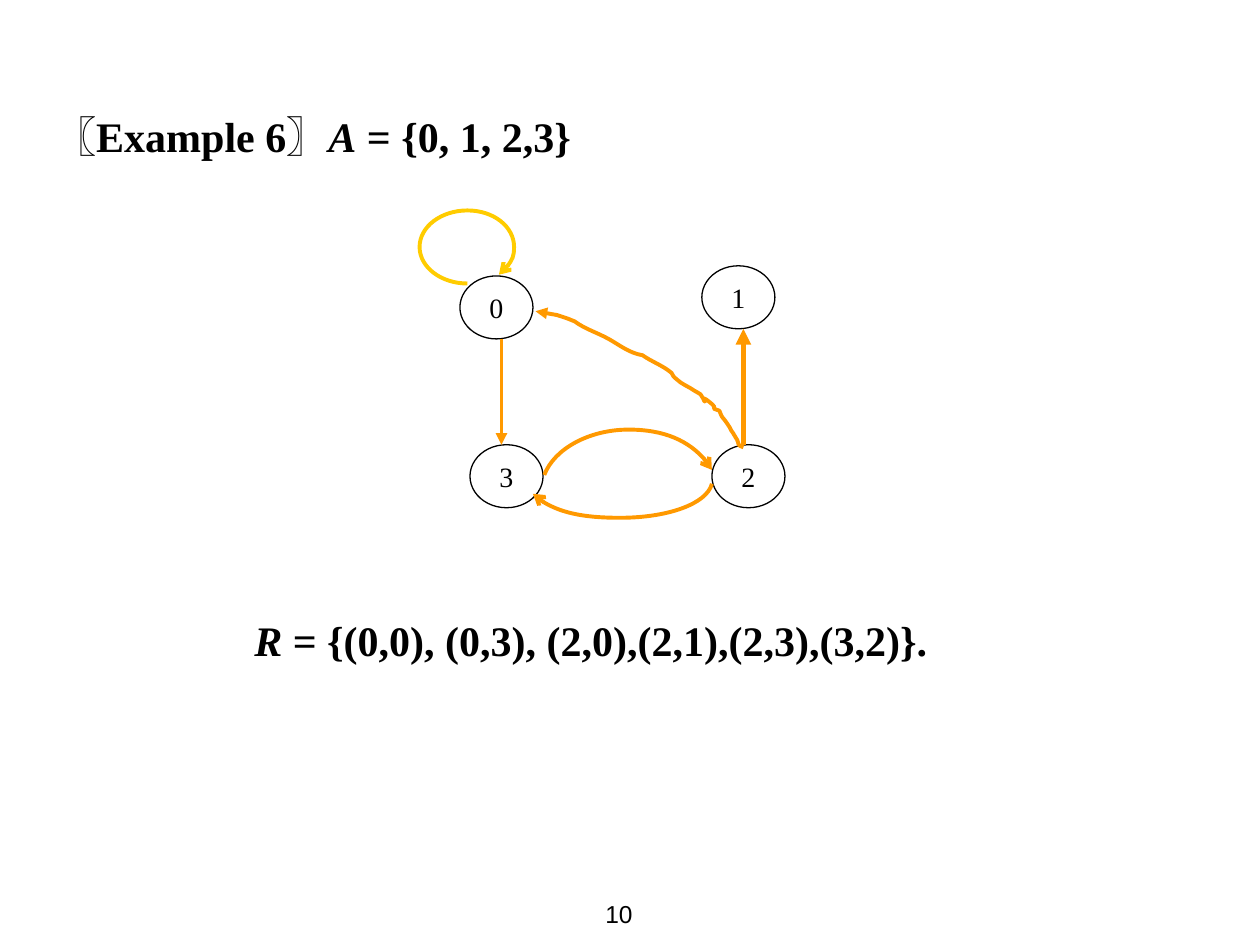
from lxml import etree
from pptx import Presentation
from pptx.dml.color import RGBColor
from pptx.enum.shapes import MSO_CONNECTOR, MSO_SHAPE
from pptx.enum.text import MSO_ANCHOR, MSO_AUTO_SIZE, PP_ALIGN
from pptx.oxml.ns import qn
from pptx.util import Pt

PX = 9144
SLIDE_SIZE = (1000, 750)
TITLE_ONLY = 5

BLACK = RGBColor(0x00, 0x00, 0x00)
ORANGE = RGBColor(0xFF, 0x99, 0x00)
GOLD = RGBColor(0xFF, 0xCC, 0x00)

SANS = "Arial"
SERIF = "Times New Roman"

LEFT, CENTER, RIGHT = PP_ALIGN.LEFT, PP_ALIGN.CENTER, PP_ALIGN.RIGHT
TOP, MIDDLE = MSO_ANCHOR.TOP, MSO_ANCHOR.MIDDLE
FIXED = MSO_AUTO_SIZE.NONE
OVAL = MSO_SHAPE.OVAL
STRAIGHT = MSO_CONNECTOR.STRAIGHT

NODE_SIZE = (58, 50)
NODES = {"0": (32, 52), "3": (40, 186), "1": (224, 44), "2": (232, 186)}
STRAIGHT_EDGES = [
    ((257, 186), (257, 94), 3),
    ((65, 102), (65, 186), 2.25),
]
ARCS = [
    (ORANGE, (166, 224), [(232, 206), (222, 187), (195, 174), (166, 174),
                          (135, 174), (107, 189), (99, 210)]),
    (ORANGE, (159, 214), [(90, 225), (101, 237), (128, 244), (159, 244),
                          (197, 244), (228, 233), (232, 217)]),
    (GOLD, (38, 29), [(63, 51), (71, 45), (75, 37), (75, 29), (75, 13), (59, 0),
                      (38, 0), (17, 0), (0, 13), (0, 29), (0, 45), (17, 58),
                      (38, 58), (38, 58), (38, 58), (38, 58)]),
]
WAVE = [
    (92, 80), (98, 81), (103, 82), (109, 83), (112, 84), (115, 85), (118, 86),
    (120, 87), (123, 88), (123, 88), (131, 94), (141, 97), (150, 102),
    (159, 107), (166, 113), (177, 115), (184, 120), (193, 123), (200, 129),
    (201, 131), (202, 133), (204, 134), (208, 138), (214, 140), (218, 143),
    (220, 144), (223, 146), (223, 146), (232, 160), (219, 143), (230, 152),
    (240, 160), (227, 155), (238, 159), (241, 167), (239, 161), (246, 172),
    (247, 174), (248, 176), (249, 177), (250, 179), (252, 182), (252, 182),
    (254, 187), (252, 186), (257, 188),
]


def set_attributes(target, values):
    for name, value in values.items():
        setattr(target, name, value)


def to_emu(lengths):
    return [length * PX for length in lengths]


def write_text(shape, runs, size, align=LEFT, anchor=TOP, wrap=True, before=0, bold=False):
    frame = shape.text_frame
    set_attributes(frame, {"word_wrap": wrap, "auto_size": FIXED, "vertical_anchor": anchor})
    paragraph = frame.paragraphs[0]
    set_attributes(paragraph, {"alignment": align, "space_before": Pt(before)})
    for text, font_name, italic in runs:
        run = paragraph.add_run()
        run.text = text
        set_attributes(run.font, {"name": font_name, "size": Pt(size),
                                  "bold": bold, "italic": italic})
        run.font.color.rgb = BLACK


def add_heading(slide, box):
    title = slide.shapes.title
    set_attributes(title, dict(zip(("left", "top", "width", "height"), to_emu(box))))
    runs = [
        ("〖", SANS, False),
        ("Example 6", SERIF, False),
        ("〗", SANS, False),
        ("A", SERIF, True),
        (" = {0, 1, 2,3}", SERIF, False),
    ]
    write_text(title, runs, 24, before=3.6, bold=True)


def add_relation(slide, box):
    textbox = slide.shapes.add_textbox(*to_emu(box))
    runs = [("R", SERIF, True),
            (" = {(0,0), (0,3), (2,0),(2,1),(2,3),(3,2)}.", SERIF, False)]
    write_text(textbox, runs, 24, before=3.6, bold=True)


def add_page_number(slide, box):
    textbox = slide.shapes.add_textbox(*to_emu(box))
    write_text(textbox, [("10", SANS, False)], 14, RIGHT, MIDDLE, wrap=False)


def format_line(shape, color, width, end=None, kind="triangle"):
    shape.line.color.rgb = color
    shape.line.width = Pt(width)
    if end:
        line = shape.line._get_or_add_ln()
        etree.SubElement(line, qn(f"a:{end}"), type=kind)


def add_node(group, label, box):
    node = group.shapes.add_shape(OVAL, *to_emu(box))
    node.shadow.inherit = False
    node.fill.background()
    format_line(node, BLACK, 0.75)
    write_text(node, [(label, SERIF, False)], 16, CENTER, MIDDLE, wrap=False)


def add_straight_edge(group, start, end, width):
    connector = group.shapes.add_connector(STRAIGHT, *to_emu(start + end))
    format_line(connector, ORANGE, width, "tailEnd")
    etree.SubElement(connector._element.spPr, qn("a:effectLst"))


def add_command(outline, name, points):
    command = etree.SubElement(outline, qn(f"a:{name}"))
    for x, y in points:
        etree.SubElement(command, qn("a:pt"), x=str(x), y=str(y))


def add_outline(outlines, size, controls, **options):
    width, height = size
    outline = etree.SubElement(outlines, qn("a:path"), w=str(width), h=str(height), **options)
    add_command(outline, "moveTo", controls[:1])
    for index in range(1, len(controls), 3):
        add_command(outline, "cubicBezTo", controls[index:index + 3])
    return outline


def add_curved_edge(group, origin, color, controls, kind, center=None):
    corners = controls[::3] + ([center] if center else [])
    left, top = (min(values) for values in zip(*corners))
    right, bottom = (max(values) for values in zip(*corners))
    builder = group.shapes.build_freeform(left, top, scale=PX)
    builder.add_line_segments([(right, bottom)], close=False)
    edge = builder.convert_to_shape(*to_emu(origin))
    size = (right - left, bottom - top)
    local = [(x - left, y - top) for x, y in controls]
    outlines = edge._element.spPr.find(f".//{qn('a:pathLst')}")
    outlines.clear()
    add_outline(outlines, size, local, fill="none")
    if center:
        sector = add_outline(outlines, size, local, stroke="0")
        add_command(sector, "lnTo", [(center[0] - left, center[1] - top)])
        add_command(sector, "lnTo", local[:1])
        add_command(sector, "close", [])
    edge.shadow.inherit = False
    edge.fill.background()
    format_line(edge, color, 2.25, "headEnd", kind)


def add_graph(slide, box):
    left, top = origin = box[:2]
    group = slide.shapes.add_group_shape()
    for label, (x, y) in NODES.items():
        add_node(group, label, (left + x, top + y) + NODE_SIZE)
    for start, end, width in STRAIGHT_EDGES:
        ends = [(left + x, top + y) for x, y in (start, end)]
        add_straight_edge(group, *ends, width)
    for color, center, controls in ARCS:
        add_curved_edge(group, origin, color, controls, "arrow", center)
    add_curved_edge(group, origin, ORANGE, WAVE, "triangle")


def main():
    presentation = Presentation()
    set_attributes(presentation,
                   dict(zip(("slide_width", "slide_height"), to_emu(SLIDE_SIZE))))
    slide = presentation.slides.add_slide(presentation.slide_layouts[TITLE_ONLY])
    add_page_number(slide, (445, 700, 67, 50))
    add_heading(slide, (33, 83, 942, 50))
    add_relation(slide, (192, 483, 650, 50))
    add_graph(slide, (333, 167, 290, 244))
    presentation.save("out.pptx")


if __name__ == "__main__":
    main()
